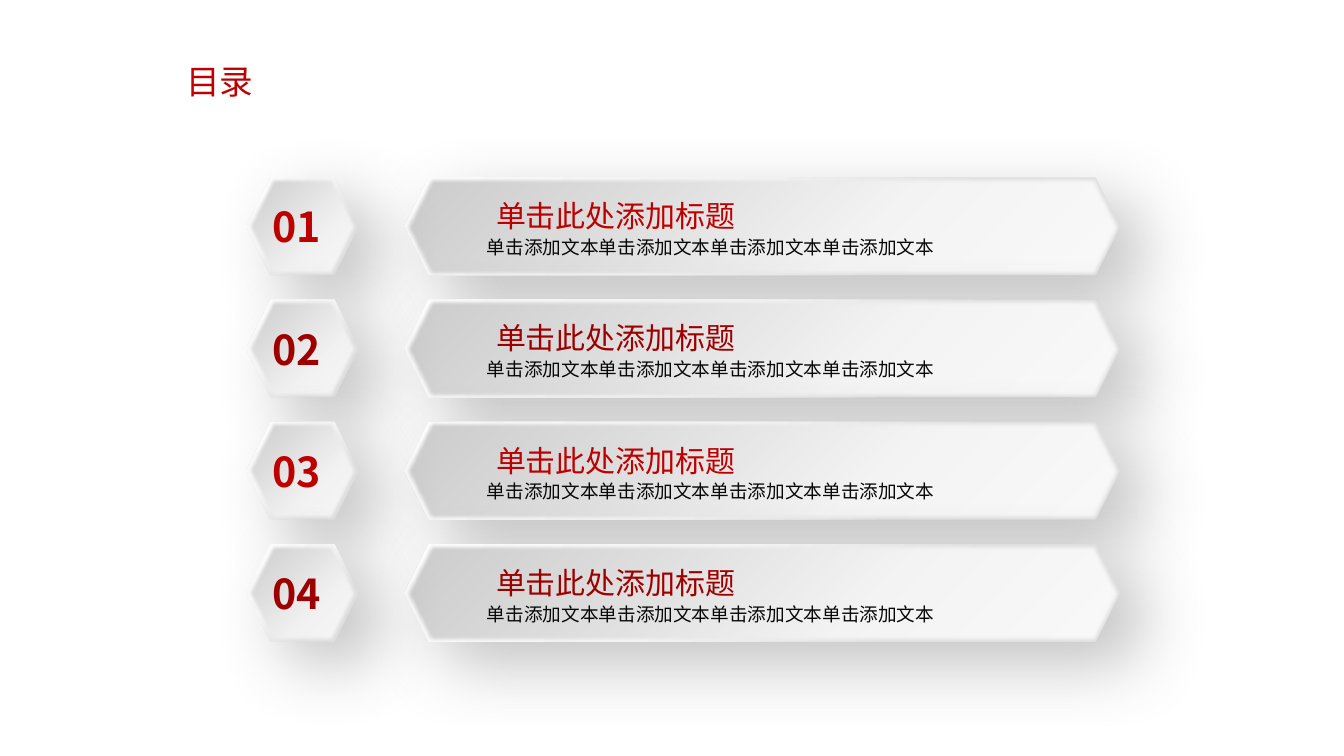
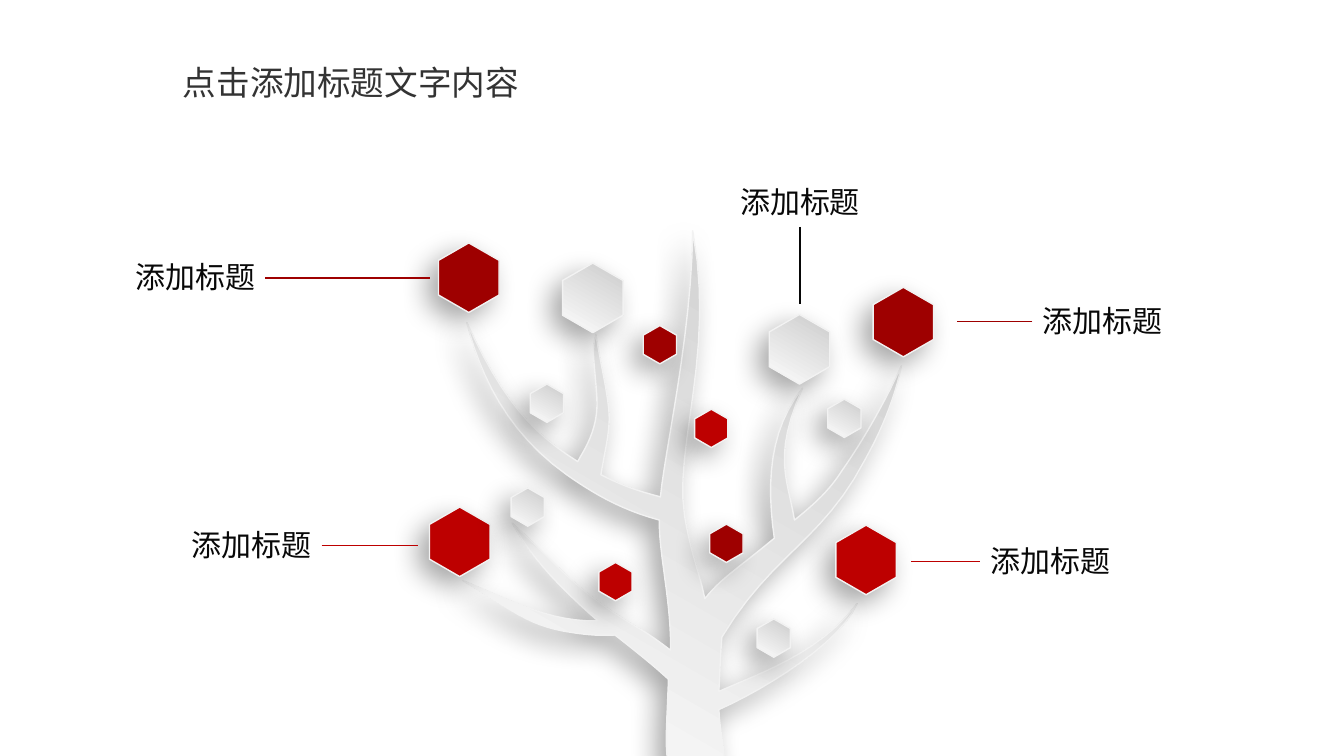
from lxml.etree import SubElement
from pptx import Presentation
from pptx.dml.color import RGBColor
from pptx.enum.shapes import MSO_CONNECTOR, MSO_SHAPE
from pptx.enum.text import MSO_ANCHOR, MSO_AUTO_SIZE, PP_ALIGN
from pptx.oxml.ns import qn
from pptx.util import Inches, Pt

WIDE, HIGH = Inches(13.33), Inches(7.5)
CELL = HIGH / 75

RED = RGBColor(0xBD, 0x00, 0x00)
DARK = RGBColor(0x9E, 0x00, 0x00)
HEAD = RGBColor(0xC0, 0x00, 0x00)
GREY = RGBColor(0x33, 0x33, 0x33)
INK = RGBColor(0x08, 0x08, 0x08)
EDGE = RGBColor(0xF2, 0xF2, 0xF2)
DUSK = RGBColor(0x69, 0x69, 0x69)
BLACK = RGBColor(0x00, 0x00, 0x00)

FONT = "Noto Sans CJK SC"
TITLE = {"size": Pt(24), "bold": False}
NUMBER = {"size": Pt(29.4), "bold": True}
TOPIC = {"size": Pt(21.4), "bold": False}
NOTE = {"size": Pt(13.3), "bold": False}
FLUSH = {"margin_left": 0, "margin_right": 0, "margin_top": 0,
         "margin_bottom": 0, "word_wrap": True}
LOOSE = {"word_wrap": False, "auto_size": MSO_AUTO_SIZE.SHAPE_TO_FIT_TEXT}
FIRM = {"word_wrap": True, "auto_size": MSO_AUTO_SIZE.NONE,
        "vertical_anchor": MSO_ANCHOR.TOP}

RIM = (225, ((1, "DEDEDE"), (30, "E0E0E0"), (61, "F6F6F6"), (100, "FFFFFF")))
FACE = (45, ((0, "CBCBCB"), (32, "DEDEDE"), (64, "F3F3F3"), (100, "F9F9F9")))
PALE = (120, ((0, "CCCCCC"), (100, "FCFCFC")))
DEEP = (DUSK, 40, 49, 25, 40)
SOFT = (BLACK, 34, 20, 10, 136)

ROWS, TOP, STEP = 4, 17.6, 12.13
TALL = 9.7
BIG, SMALL = (6, 6.9), (3.3, 3.8)
FRUIT = (
    (BIG, DARK, ((43.5, 24.1), (86.6, 28.5))),
    (BIG, RED, ((82.9, 52.1), (42.6, 50.3))),
    (BIG, PALE, ((55.8, 26.1), (76.3, 31.2))),
    (SMALL, PALE, ((75.1, 61.4), (52.6, 38.1), (50.7, 48.4), (82.1, 39.6))),
    (SMALL, DARK, ((63.8, 32.3), (70.4, 52))),
    (SMALL, RED, ((59.4, 55.8), (68.9, 40.6))),
)
LABELS = (
    (102.4, 29.5, 1, -7.5, 0, DARK),
    (97.2, 53.3, 1, -6.8, 0, RED),
    (12.4, 25.2, 3, 16.4, 0, DARK),
    (72.4, 17.7, 2, 0, 7.7, INK),
    (18, 51.7, 3, 9.6, 0, RED),
)
ROOT = (71.8, 76.2)
CURVES = (
    (66.4, 76.2, 66.4, 76.2, 66.4, 76.2),
    (65.9, 74.5, 66.1, 72.7, 66.3, 67.4),
    (64.8, 66, 62.9, 64.5, 61, 63),
    (58.8, 63.1, 57.6, 62.9, 55.8, 62.6),
    (52.3, 61.9, 51, 60.7, 45.9, 57.6),
    (51.5, 59.9, 54.6, 61.7, 59.3, 61.6),
    (56.1, 58.8, 52.9, 55.7, 50.8, 51.9),
    (55.7, 56.3, 56.8, 58.5, 63.8, 62.6),
    (64.6, 63.1, 65.3, 63.6, 66.5, 64.5),
    (66.5, 64.3, 66.5, 64.3, 66.5, 64.3),
    (66.6, 59.9, 65.3, 54.7, 65.4, 51.6),
    (61.3, 50.5, 58.5, 48.7, 56.2, 47.1),
    (50.3, 42.9, 47.6, 37.2, 46.3, 32),
    (49.8, 39.6, 52.7, 42.9, 57.3, 45.8),
    (57.8, 44.8, 59.4, 42.7, 59.2, 39.5),
    (59, 36, 58.6, 34.8, 59.1, 33.2),
    (59.7, 36.8, 60.6, 40.3, 60.4, 42.1),
    (60.3, 43.6, 60.1, 44.2, 59.6, 47.1),
    (62.3, 48.5, 64.1, 48.9, 65.5, 49.3),
    (65.9, 44.9, 68.6, 33.3, 68.7, 22.9),
    (71, 34.9, 66.8, 44.4, 67.9, 51.2),
    (68.6, 55.3, 69.4, 56.8, 69.9, 59.4),
    (71.6, 57.3, 72.8, 56.7, 76.8, 53.4),
    (76, 47.9, 76.3, 42.6, 79.6, 38.5),
    (76.6, 45.3, 78.1, 47.4, 78.8, 51.6),
    (80.9, 49.9, 82.3, 48.6, 83.5, 46.7),
    (84.9, 44.7, 87.1, 41.3, 89.4, 36.3),
    (88.7, 39.8, 87.2, 43.1, 85.8, 45.6),
    (81.5, 53.8, 76.6, 54.9, 71.6, 63.2),
    (71.5, 64.3, 71.4, 66.3, 71.3, 68.6),
    (75, 66.9, 81.1, 65, 85, 59.9),
    (83.4, 63.7, 76.2, 68.2, 71.3, 70.4),
    (71.4, 72.9, 71.9, 73.9, 71.8, 76.2),
)


def grid(*cells):
    """Turn counts of grid cells into lengths."""
    return [round(cell * CELL) for cell in cells]


def style(item, form):
    """Set each attribute that the format names."""
    for key, value in form.items():
        setattr(item, key, value)


def write(shape, words, form, color, frame, align=PP_ALIGN.LEFT):
    """Put one formatted paragraph in a shape."""
    style(shape.text_frame, frame)
    para = shape.text_frame.paragraphs[0]
    para.alignment = align
    run = para.add_run()
    run.text = words
    style(run.font, {"name": FONT, **form})
    run.font.color.rgb = color
    SubElement(run.font._element, qn("a:ea"), typeface=FONT)


def text(slide, box, *rest):
    """Add a text box and return it."""
    shape = slide.shapes.add_textbox(*grid(*box))
    write(shape, *rest)
    return shape


def paint(shape, fill):
    """Fill a shape with a colour or a gradient."""
    if isinstance(fill, RGBColor):
        shape.fill.solid()
        shape.fill.fore_color.rgb = fill
        return
    angle, stops = fill
    shape.fill.gradient()
    shape.fill.gradient_angle = 360 - angle
    ramp = shape._element.spPr.find(qn("a:gradFill")).find(qn("a:gsLst"))
    for old in list(ramp):
        ramp.remove(old)
    for share, color in stops:
        stop = SubElement(ramp, qn("a:gs"), pos=str(share * 1000))
        SubElement(stop, qn("a:srgbClr"), val=color)


def effects(shape):
    """Clear the shape's effects and return their list."""
    shape.shadow.inherit = False
    return shape._element.spPr.find(qn("a:effectLst"))


def shade(shape, color, alpha, blur, gap, angle):
    """Cast an outer shadow."""
    cast = SubElement(effects(shape), qn("a:outerShdw"),
                      blurRad=str(Pt(blur)), dist=str(Pt(gap)),
                      dir=str(angle * 60000), algn="ctr", rotWithShape="0")
    tone = SubElement(cast, qn("a:srgbClr"), val=str(color))
    SubElement(tone, qn("a:alpha"), val=str(alpha * 1000))


def tile(slide, left, top, width):
    """Add a raised hexagon: a shaded rim and a soft face."""
    for fill in (RIM, FACE):
        shape = slide.shapes.add_shape(
            MSO_SHAPE.HEXAGON, *grid(left, top, width, TALL))
        paint(shape, fill)
        shape.line.fill.background()
        if fill is RIM:
            shade(shape, *DEEP)
        else:
            SubElement(effects(shape), qn("a:softEdge"), rad=str(Pt(2.5)))


def cutout(slide, points, fill):
    """Add a closed paper outline with a pale edge."""
    spots = [grid(*point) for point in points]
    pen = slide.shapes.build_freeform(*spots[0])
    pen.add_line_segments(spots[1:], close=True)
    shape = pen.convert_to_shape()
    paint(shape, fill)
    shape.line.color.rgb = EDGE
    shape.line.width = Pt(1)
    shade(shape, *SOFT)


def trace(start, curves, steps=12):
    """Follow a chain of Bezier curves as points."""
    points = [start]
    for a, b, c, d, e, f in curves:
        x, y = points[-1]
        for step in range(1, steps + 1):
            t = step / steps
            u = 1 - t
            points.append(tuple(
                u**3 * p + 3 * u * u * t * q + 3 * u * t * t * r + t**3 * s
                for p, q, r, s in ((x, a, c, e), (y, b, d, f))))
    return points


def hexagon(left, top, width, height):
    """Give the corners of a hexagon that stands on a point."""
    mid, right = left + width / 2, left + width
    high, low = top + height / 4, top + height * 3 / 4
    return ((mid, top), (right, high), (right, low),
            (mid, top + height), (left, low), (left, high))


def label(slide, left, top, side, across, down, color):
    """Add a label and the line that leaves its side."""
    width, height = 13.9, 4.8
    box = text(slide, (left, top, width, height), "添加标题",
               TOPIC, INK, LOOSE, PP_ALIGN.CENTER)
    x = left + {1: 0, 2: width / 2, 3: width}[side]
    y = top + (height if side == 2 else height / 2)
    line = slide.shapes.add_connector(
        MSO_CONNECTOR.STRAIGHT, *grid(x, y, x + across, y + down))
    line.begin_connect(box, side)
    line.line.color.rgb = color
    line.line.width = Pt(1)
    SubElement(line._element.spPr, qn("a:effectLst"))


def page(deck, words, box, color):
    """Add a slide with its title."""
    slide = deck.slides.add_slide(deck.slide_layouts[5])
    title = slide.shapes.title
    title.left, title.top, title.width, title.height = grid(*box)
    write(title, words, TITLE, color, FIRM, PP_ALIGN.CENTER)
    return slide


def agenda(deck):
    """Build the contents slide."""
    slide = page(deck, "目录", (13.4, 5.5, 16.8, 5.3), HEAD)
    for row in range(ROWS):
        top = TOP + row * STEP
        color = (RED, DARK)[row % 2]
        tile(slide, 40.1, top, 71)
        text(slide, (48.3, top + 5.8, 50.8, 2.4), "单击添加文本" * 4,
             NOTE, INK, FLUSH)
        text(slide, (49.2, top + 2, 24.7, 3.8), "单击此处添加标题",
             TOPIC, color, FLUSH)
        tile(slide, 24.4, top, 11.2)
        text(slide, (27, top + 2.4, 8.1, 5.2), f"{row + 1:02}",
             NUMBER, color, FLUSH)


def tree(deck):
    """Build the tree slide."""
    slide = page(deck, "点击添加标题文字内容", (10.2, 5.6, 49.2, 5.3), GREY)
    cutout(slide, trace(ROOT, CURVES), PALE)
    for size, fill, spots in FRUIT:
        for spot in spots:
            cutout(slide, hexagon(*spot, *size), fill)
    for item in LABELS:
        label(slide, *item)


def main():
    """Build and save the deck."""
    deck = Presentation()
    deck.slide_width, deck.slide_height = WIDE, HIGH
    agenda(deck)
    tree(deck)
    deck.save("out.pptx")


if __name__ == "__main__":
    main()
